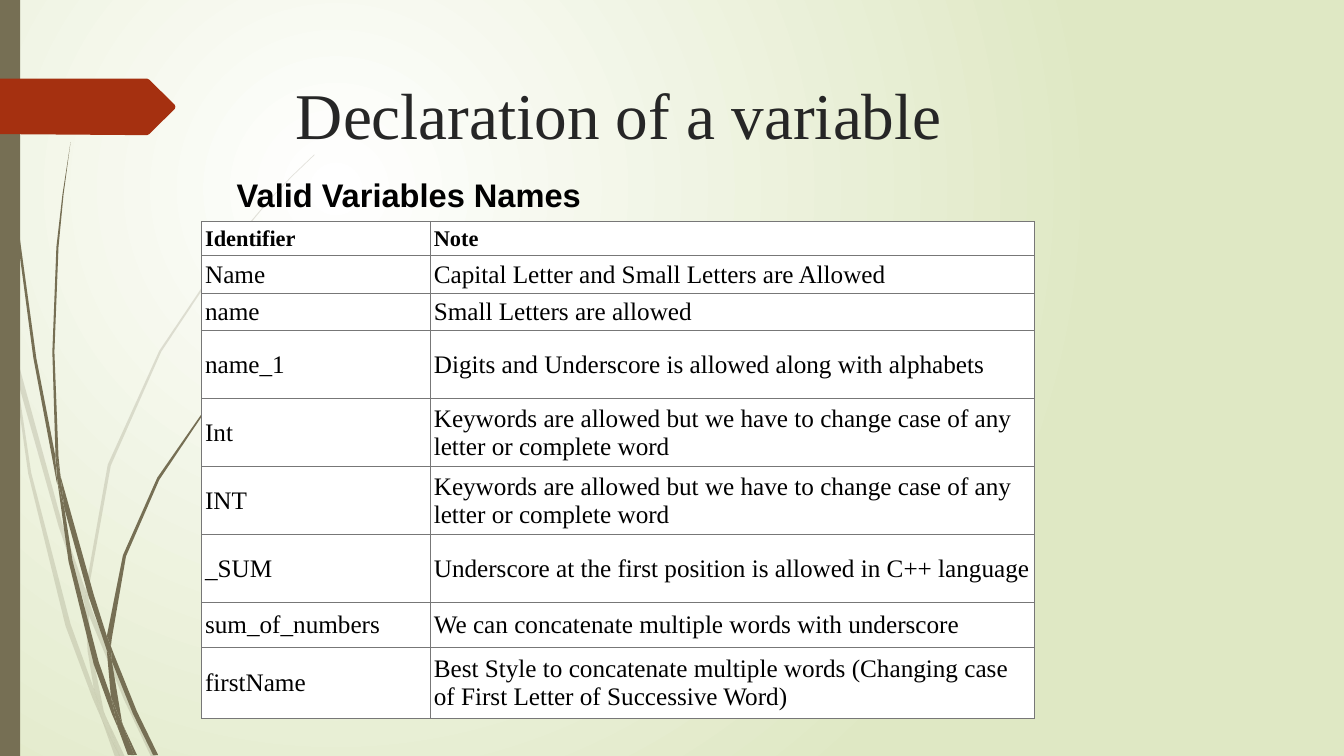
from dataclasses import dataclass

from lxml import etree
from pptx import Presentation
from pptx.dml.color import RGBColor
from pptx.enum.shapes import MSO_SHAPE
from pptx.enum.text import MSO_ANCHOR, MSO_AUTO_SIZE, PP_ALIGN
from pptx.oxml import parse_xml
from pptx.oxml.ns import nsdecls, qn
from pptx.util import Pt


@dataclass(frozen=True)
class Theme:
    serif: str = "Times New Roman"
    sans: str = "Arial"
    title_size: float = 46.6
    subtitle_size: float = 23.3
    header_size: float = 16
    body_size: float = 18
    title: str = "262626"
    text: str = "000000"
    paper: str = "FFFFFF"
    meadow: str = "DFE8C4"
    stem: str = "766F54"
    tag: str = "A53010"
    rule: str = "777777"


THEME = Theme()

ROWS = [
    ("Identifier", "Note"),
    ("Name", "Capital Letter and Small Letters are Allowed"),
    ("name", "Small Letters are allowed"),
    ("name_1", "Digits and Underscore is allowed along with alphabets"),
    ("Int", "Keywords are allowed but we have to change case of any letter or complete word"),
    ("INT", "Keywords are allowed but we have to change case of any letter or complete word"),
    ("_SUM", "Underscore at the first position is allowed in C++ language"),
    ("sum_of_numbers", "We can concatenate multiple words with underscore"),
    ("firstName", "Best Style to concatenate multiple words "
                  "(Changing case of First Letter of Successive Word)"),
]
ROW_HEIGHTS = [24.3, 26.8, 26.8, 48.6, 48.6, 48.6, 48.6, 32, 50.6]
COLUMN_WIDTHS = [163.4, 431.3]

# Segments of the grass blades, each a closed outline.
FAINT_GRASS = [
    [(7.9, 252), (6.5, 231.8), (0, 203), (0, 215.3), (7.2, 247.7)],
    [(41.8, 375.8), (60.5, 431.3), (61.2, 421.9), (44.6, 374.4), (10.1, 248.4), (12.2, 270.7)],
    [(66.2, 437), (63.4, 429.1), (63.4, 439.2), (88.6, 499.7), (108, 540.7), (111.6, 540.7),
     (91.4, 498.2)],
    [(85.7, 540.7), (89.3, 540.7), (75.6, 511.9)],
    [(67, 491.8), (50.4, 445.7), (22.3, 337.7), (12.2, 270.7), (7.9, 252), (20.2, 338.4),
     (46.8, 447.1), (66.2, 499), (72.7, 514.1), (71.3, 509)],
    [(60.5, 431.3), (62.6, 465.1), (67, 491.8), (69.1, 498.2), (75.6, 511.9), (74.2, 508.3),
     (65.5, 465.1), (63.4, 439.2), (63.4, 437.8)],
    [(63.4, 420.5), (79.2, 332.6), (115.2, 251.3), (164.9, 176.4), (193, 142.6), (208.8, 126),
     (224.6, 110.9), (224.6, 110.2), (208.1, 126), (193, 141.8), (164.2, 175.7),
     (113.8, 250.6), (77, 331.9), (61.2, 420.5), (61.2, 421.9), (63.4, 429.1)],
    [(72.7, 514.1), (82.1, 540.7), (85.7, 540.7)],
    [(63.4, 437.8), (63.4, 439.2), (63.4, 429.1), (61.2, 421.9), (60.5, 431.3)],
    [(69.1, 498.2), (67, 491.8), (71.3, 509), (72.7, 514.1), (85.7, 540.7), (75.6, 511.9)],
]
DARK_GRASS = [
    [(5, 79.2), (12.2, 167.8), (23.8, 255.6), (40.3, 343.4), (41, 346.3), (39.6, 329),
     (39.6, 326.2), (25.9, 255.6), (13.7, 167), (5.8, 78.5), (3.6, 34.6), (2.9, 0),
     (2.2, 0), (2.9, 34.6)],
    [(63.4, 426.2), (76.3, 464.4), (76.3, 455.8), (76.3, 454.3), (67, 424.8), (43.2, 339.8),
     (46.1, 363.6)],
    [(81.4, 467.3), (79.2, 461.5), (79.9, 472.3), (95, 509.8), (109.4, 539.3), (113, 539.3),
     (97.9, 508.3)],
    [(79.2, 497.5), (70.6, 473), (51.8, 400.3), (46.1, 363.6), (41, 343.4), (49, 401),
     (67, 474.5), (79.9, 509.8), (84.2, 519.8), (83.5, 516.2)],
    [(43.2, 339.8), (41.8, 326.2), (38.9, 251.3), (41.8, 176.4), (45.4, 139), (50.4, 101.5),
     (44.6, 139), (40.3, 176.4), (37.4, 251.3), (39.6, 323.3)],
    [(95.8, 539.3), (97.9, 539.3), (87.8, 517.7)],
    [(41, 343.4), (46.1, 363.6), (43.2, 339.8), (39.6, 323.3), (39.6, 326.2)],
    [(79.9, 455.8), (90, 397.4), (113.8, 342.7), (147.6, 292.3), (166.3, 269.3),
     (176.4, 258.5), (187.9, 247.7), (187.2, 247.7), (176.4, 257.8), (166.3, 268.6),
     (146.9, 291.6), (112.3, 341.3), (87.8, 396.7), (76.3, 454.3), (79.2, 461.5)],
    [(84.2, 519.8), (91.4, 539.3), (94.3, 539.3)],
    [(76.3, 464.4), (79.2, 497.5), (83.5, 508.3), (87.8, 517.7), (87.1, 515.5),
     (79.9, 472.3), (78.5, 468.7)],
    [(76.3, 464.4), (78.5, 468.7), (79.9, 472.3), (79.2, 461.5), (76.3, 454.3), (76.3, 455.8)],
    [(83.5, 508.3), (79.2, 497.5), (83.5, 516.2), (84.2, 519.8), (93.6, 539.3), (95.8, 539.3),
     (87.8, 517.7)],
]
TAG_OUTLINE = [(124.9, 77.8), (106.6, 95.8), (105.1, 96.5), (97.9, 96.5), (0, 95.8),
               (0, 56.2), (97.9, 56.2), (105.1, 56.2), (106.6, 56.9), (124.9, 74.9),
               (125.3, 76.3)]


def paint(shape, color, opacity=100):
    shape.shadow.inherit = False
    shape.fill.solid()
    shape.fill.fore_color.rgb = RGBColor.from_string(color)
    shape.line.fill.background()
    if opacity < 100:
        srgb = shape.fill._xPr.find(f"{qn('a:solidFill')}/{qn('a:srgbClr')}")
        etree.SubElement(srgb, qn("a:alpha")).set("val", str(opacity * 1000))


def add_outline(shapes, points, color, opacity=100):
    corners = [(Pt(x), Pt(y)) for x, y in points]
    builder = shapes.build_freeform(*corners[0])
    builder.add_line_segments(corners[1:], close=True)
    paint(builder.convert_to_shape(), color, opacity)


def add_grass(page, segments, opacity=100):
    group = page.shapes.add_group_shape()
    for points in segments:
        add_outline(group.shapes, points, THEME.stem, opacity)


def set_background(page):
    fill = page.background.fill
    fill.gradient()
    for stop, color in zip(fill.gradient_stops, (THEME.paper, THEME.meadow)):
        stop.color.rgb = RGBColor.from_string(color)
    gradient = page.background._cSld.find(f".//{qn('a:gradFill')}")
    gradient.replace(gradient.find(qn("a:lin")), parse_xml(
        f'<a:path {nsdecls("a")} path="circle">'
        '<a:fillToRect l="50000" t="50000" r="100000" b="100000"/></a:path>'))


def write(frame, text, font, size, color, bold=False):
    frame.text = text
    frame.word_wrap = True
    para = frame.paragraphs[0]
    para.alignment = PP_ALIGN.LEFT
    span = para.runs[0]
    span.font.name, span.font.size, span.font.bold = font, Pt(size), bold
    span.font.color.rgb = RGBColor.from_string(color)


def place_title(page, text):
    title = page.shapes.title
    title.left, title.top, title.width, title.height = Pt(204.2), Pt(49.3), Pt(702), Pt(100.8)
    write(title.text_frame, text, THEME.serif, THEME.title_size, THEME.title)
    title.text_frame.vertical_anchor = MSO_ANCHOR.TOP
    title.text_frame.auto_size = MSO_AUTO_SIZE.NONE


def add_subtitle(page, text):
    box = page.shapes.add_textbox(Pt(162), Pt(121.7), Pt(375.8), Pt(35.3))
    write(box.text_frame, text, THEME.sans, THEME.subtitle_size, THEME.text, bold=True)
    box.text_frame.auto_size = MSO_AUTO_SIZE.SHAPE_TO_FIT_TEXT


def style_cell(cell):
    cell.margin_left = cell.margin_right = cell.margin_top = cell.margin_bottom = Pt(2.5)
    cell.vertical_anchor = MSO_ANCHOR.MIDDLE
    properties = cell._tc.get_or_add_tcPr()
    for side in "LRTB":
        properties.append(parse_xml(
            f'<a:ln{side} {nsdecls("a")} w="{Pt(0.75)}"><a:solidFill>'
            f'<a:srgbClr val="{THEME.rule}"/></a:solidFill></a:ln{side}>'))
    cell.fill.solid()
    cell.fill.fore_color.rgb = RGBColor.from_string(THEME.paper)


def add_names_table(page):
    table = page.shapes.add_table(
        len(ROWS), len(COLUMN_WIDTHS), Pt(144), Pt(158.4),
        Pt(sum(COLUMN_WIDTHS)), Pt(sum(ROW_HEIGHTS))).table
    table.horz_banding = False
    for column, width in zip(table.columns, COLUMN_WIDTHS):
        column.width = Pt(width)
    for index, (row, height, texts) in enumerate(zip(table.rows, ROW_HEIGHTS, ROWS)):
        row.height = Pt(height)
        header = index == 0
        size = THEME.header_size if header else THEME.body_size
        for cell, text in zip(row.cells, texts):
            style_cell(cell)
            write(cell.text_frame, text, THEME.serif, size, THEME.text, bold=header)


def main():
    deck = Presentation()
    deck.slide_width, deck.slide_height = Pt(960), Pt(540)
    page = deck.slides.add_slide(deck.slide_layouts[5])
    set_background(page)
    add_grass(page, FAINT_GRASS, opacity=20)
    add_grass(page, DARK_GRASS)
    paint(page.shapes.add_shape(MSO_SHAPE.RECTANGLE, 0, 0, Pt(14.4), Pt(540)), THEME.stem)
    add_outline(page.shapes, TAG_OUTLINE, THEME.tag)
    add_names_table(page)
    add_subtitle(page, "Valid Variables Names")
    place_title(page, "Declaration of a variable")
    deck.save("out.pptx")


if __name__ == "__main__":
    main()
